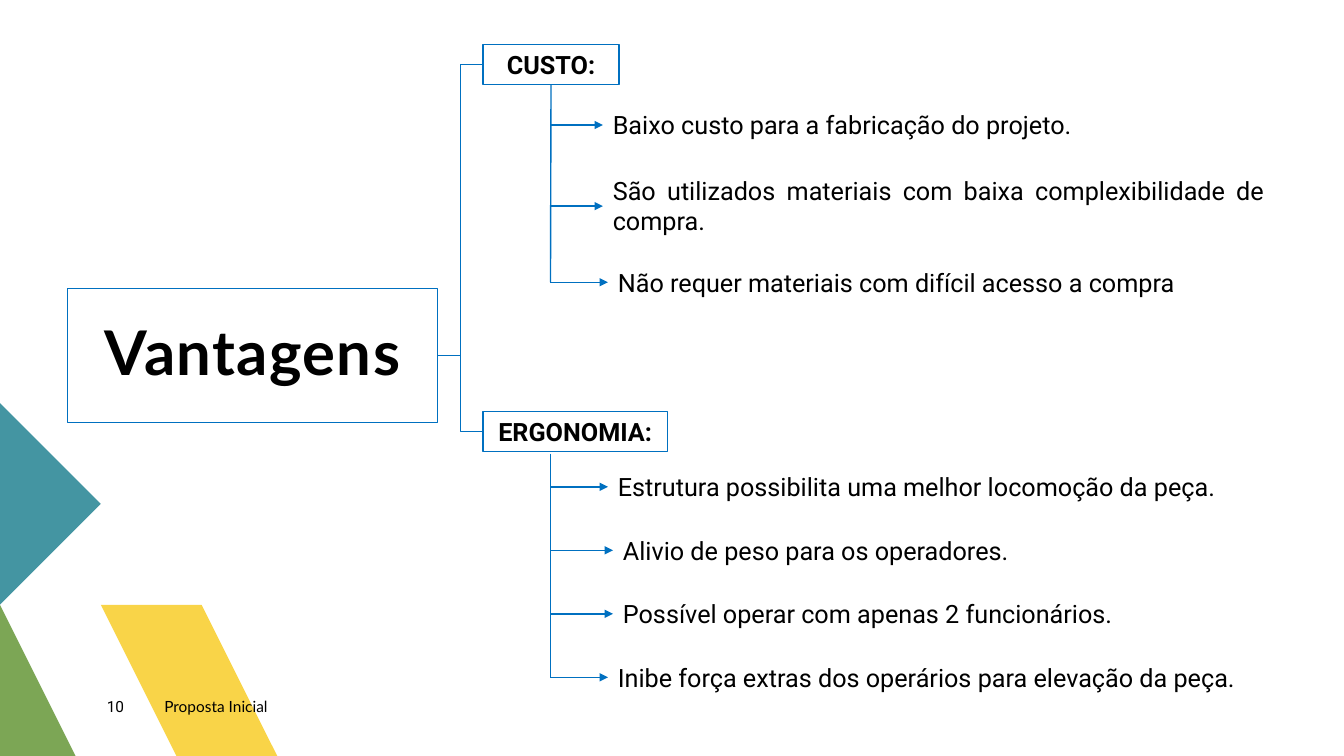
import pptx
import pptx.util
import pptx.dml.color
import pptx.enum.shapes
import pptx.enum.text
import pptx.oxml
import pptx.oxml.ns

Inches = pptx.util.Inches
ALIGN = pptx.enum.text.PP_ALIGN
ANCHOR = pptx.enum.text.MSO_ANCHOR
LINK = pptx.enum.shapes.MSO_CONNECTOR
RECT = pptx.enum.shapes.MSO_SHAPE.RECTANGLE


def paint(fill, tone):
    fill.solid()
    fill.fore_color.rgb = pptx.dml.color.RGBColor.from_string(tone)


def write(shape, text, size=18, font="Roboto", bold=False, align=ALIGN.LEFT,
          anchor=ANCHOR.TOP, inset=True, space=None, track=None):
    frame = shape.text_frame
    frame.word_wrap = True
    frame.auto_size = pptx.enum.text.MSO_AUTO_SIZE.NONE
    frame.vertical_anchor = anchor
    side, edge = (0.1, 0.05) if inset else (0, 0)
    frame.margin_left = frame.margin_right = Inches(side)
    frame.margin_top = frame.margin_bottom = Inches(edge)
    para = frame.paragraphs[0]
    para.alignment = align
    if space:
        para.line_spacing = space
    run = para.add_run()
    run.text = text
    run.font.size = pptx.util.Pt(size)
    run.font.name = font
    run.font.bold = bold
    paint(run.font.fill, "000000")
    if track:
        run.font._element.set("spc", str(track))


class Board:
    blue = "0070C0"

    def __init__(self, deck):
        self.slide = deck.slides.add_slide(deck.slide_layouts[5])
        self.shapes = self.slide.shapes

    def outline(self, shape):
        paint(shape.line.fill, self.blue)
        shape.line.width = pptx.util.Pt(1)

    def title(self, text, *area):
        shape = self.shapes.title
        shape.left, shape.top, shape.width, shape.height = map(Inches, area)
        self.outline(shape)
        write(shape, text, size=44, font="Lato", bold=True, align=ALIGN.CENTER,
              anchor=ANCHOR.MIDDLE, inset=False, space=0.9, track=100)
        return shape

    def head(self, text, *area):
        shape = self.shapes.add_shape(RECT, *map(Inches, area))
        shape.shadow.inherit = False
        shape.fill.background()
        self.outline(shape)
        write(shape, text, bold=True, align=ALIGN.CENTER)
        return shape

    def label(self, text, *area, **style):
        write(self.shapes.add_textbox(*map(Inches, area)), text, **style)

    def patch(self, tone, points):
        form = self.shapes.build_freeform(*points[0], scale=Inches(1))
        form.add_line_segments(points[1:], close=True)
        shape = form.convert_to_shape()
        shape.shadow.inherit = False
        paint(shape.fill, tone)
        shape.line.fill.background()

    def line(self, *ends, kind=LINK.STRAIGHT, arrow=False):
        link = self.shapes.add_connector(kind, *map(Inches, ends))
        self.outline(link)
        if arrow:
            tip = pptx.oxml.ns.qn("a:tailEnd")
            link.line._get_or_add_ln().append(
                pptx.oxml.parse_xml(
                    '<a:tailEnd %s type="triangle"/>' % pptx.oxml.ns.nsdecls("a")))
        link._element.spPr.append(
            pptx.oxml.parse_xml("<a:effectLst %s/>" % pptx.oxml.ns.nsdecls("a")))
        return link

    def branch(self, trunk, items):
        for left, top, high, text in items:
            mid = top + high / 2
            self.label(text, left, top, 6.66, high, align=ALIGN.JUSTIFY)
            self.line(trunk, mid, left, mid, arrow=True)


def main():
    deck = pptx.Presentation()
    deck.slide_width, deck.slide_height = Inches(13.33), Inches(7.5)
    board = Board(deck)

    # Corner decoration
    board.patch("F9D448", [(3.24, 7.5), (2.15, 7.5), (1.06, 6.41), (1.61, 5.87)])
    board.patch("7CA655", [(1.06, 7.5), (0, 7.5), (0, 6.44)])
    board.patch("4495A2", [(0, 4.27), (1.06, 5.33), (0, 6.39)])

    # Footer
    board.label("10", 1.06, 6.92, 0.57, 0.27, size=11, inset=False)
    board.label("Proposta Inicial", 1.63, 6.92, 1.64, 0.27, size=11,
                font="Lato", inset=False)

    # Title and the two headings
    title = board.title("Vantagens", 0.67, 2.86, 3.67, 1.33)
    cost = board.head("CUSTO:", 4.79, 0.44, 1.35, 0.4)
    ergo = board.head("ERGONOMIA:", 4.79, 4.08, 1.83, 0.4)
    for head, mid in ((cost, 0.64), (ergo, 4.28)):
        link = board.line(4.34, 3.52, 4.79, mid, kind=LINK.ELBOW)
        link.begin_connect(title, 3)
        link.end_connect(head, 1)

    # Branches
    trunk = 5.46
    board.line(trunk, 0.84, trunk, 2.8).begin_connect(cost, 2)
    board.line(trunk, 4.5, trunk, 6.72)
    board.branch(trunk, [
        (5.98, 1.04, 0.4, "Baixo custo para a fabricação do projeto."),
        (5.98, 1.69, 0.71,
         "São utilizados materiais com baixa complexibilidade de compra."),
        (6.03, 2.6, 0.4, "Não requer materiais com difícil acesso a compra"),
    ])
    points = [
        (6.03, "Estrutura possibilita uma melhor locomoção da peça."),
        (6.08, "Alivio de peso para os operadores."),
        (6.08, "Possível operar com apenas 2 funcionários."),
        (6.03, "Inibe força extras dos operários para elevação da peça."),
    ]
    board.branch(trunk, [(left, 4.63 + 0.63 * row, 0.4, text)
                         for row, (left, text) in enumerate(points)])

    deck.save("out.pptx")


if __name__ == "__main__":
    main()
